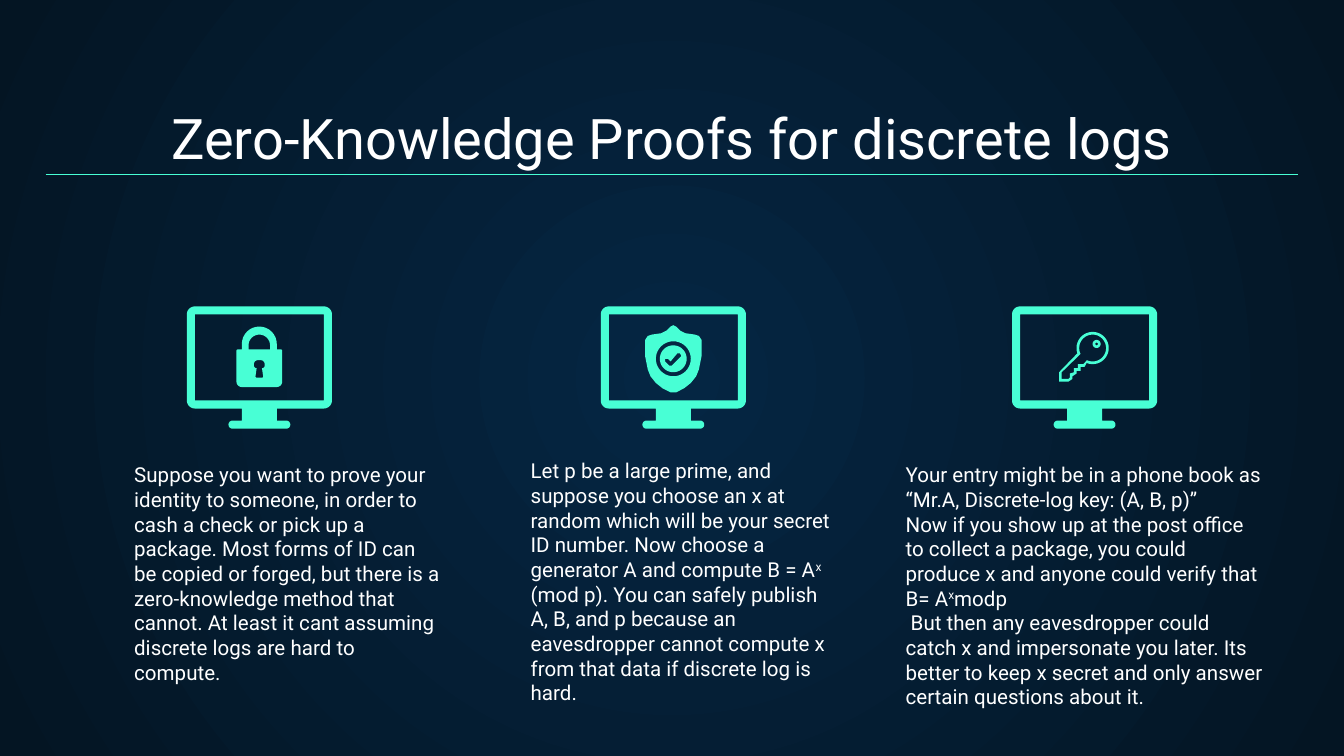
import math
from lxml import etree
from pptx import Presentation
from pptx.dml.color import RGBColor
from pptx.enum import shapes, text
from pptx.oxml import ns
from pptx.util import Inches, Pt

MINT, WHITE, NAVY, INK = "48FFD5", "FFFFFF", "052643", "041523"
FONT = "Roboto"
TITLE = "Zero-Knowledge Proofs for discrete logs"

# Columns: icon, monitor centre and top, text box, paragraphs (^x^ is raised)
COLUMNS = [
    ("lock", 1.93, 2.28, (0.9, 3.34, 2.49, 2.02), [
        "Suppose you want to prove your identity to someone, in order to cash a check or "
        "pick up a package. Most forms of ID can be copied or forged, but there is a "
        "zero-knowledge method that cannot. At least it cant assuming discrete logs are "
        "hard to compute."]),
    ("shield", 5.01, 2.28, (3.85, 3.31, 2.49, 2.02), [
        "Let p be a large prime, and suppose you choose an x at random which will be your "
        "secret ID number. Now choose a generator A and compute B = A^x^ (mod p). You can "
        "safely publish A, B, and p because an eavesdropper cannot compute x from that "
        "data if discrete log is hard."]),
    ("key", 8.07, 2.28, (6.64, 3.34, 2.87, 2.13), [
        "Your entry might be in a phone book as “Mr.A, Discrete-log key: (A, B, p)”",
        "Now if you show up at the post office to collect a package, you could produce x "
        "and anyone could verify that B= A^x^modp",
        " But then any eavesdropper could catch x and impersonate you later. Its better to "
        "keep x secret and only answer certain questions about it."]),
]


def color(value):
    return RGBColor.from_string(value)


# Outlines, in inches from the top centre of a monitor
def arc(x, y, radius, start=0, end=360, steps=40):
    angles = [math.radians(start + (end - start) * i / steps) for i in range(steps + 1)]
    return [(x + radius * math.cos(a), y + radius * math.sin(a)) for a in angles]


def rounded(corners, steps=8):
    """Polygon of (x, y, radius) corners, each rounded by a circular arc."""
    points = []
    for i, (x, y, radius) in enumerate(corners):
        if not radius:
            points.append((x, y))
            continue
        ends = []
        for nx, ny, _ in (corners[i - 1], corners[(i + 1) % len(corners)]):
            k = radius / math.hypot(nx - x, ny - y)
            ends.append((x + (nx - x) * k, y + (ny - y) * k))
        (ax, ay), (bx, by) = ends
        for j in range(steps + 1):
            t = j / steps
            a, c, b = (1 - t) ** 2, math.sqrt(2) * t * (1 - t), t * t
            points.append(((a * ax + c * x + b * bx) / (a + b + c),
                           (a * ay + c * y + b * by) / (a + b + c)))
    return points


def symmetric(right):
    """Rounded outline from its right half, listed top to bottom."""
    return rounded(right + [(-x, y, r) for x, y, r in reversed(right)])


MONITOR = [
    symmetric([(0.54, 0, 0.06), (0.54, 0.76, 0.06), (0.13, 0.76, 0), (0.13, 0.85, 0),
               (0.23, 0.85, 0.03), (0.23, 0.91, 0.03)]),
    symmetric([(0.48, 0.06, 0), (0.48, 0.7, 0)]),
]
SHIELD_HALF = [(0, 0.14), (0.02, 0.15), (0.05, 0.18), (0.09, 0.2), (0.16, 0.21), (0.19, 0.22),
               (0.21, 0.25), (0.21, 0.28), (0.21, 0.37), (0.19, 0.47), (0.17, 0.52),
               (0.13, 0.57), (0.08, 0.61), (0.02, 0.64)]
CHECK = [(0.03, 0.35), (0.05, 0.35), (0.06, 0.37), (-0.01, 0.44), (-0.03, 0.44),
         (-0.06, 0.41), (-0.06, 0.39), (-0.04, 0.39), (-0.02, 0.41)]
KEY_OUTER = [(-0.19, 0.49), (-0.19, 0.56), (-0.12, 0.56), (-0.09, 0.54), (-0.09, 0.52),
             (-0.06, 0.5), (-0.06, 0.48), (-0.03, 0.48), (-0.03, 0.45), (0, 0.45)]
KEY_INNER = [(-0.17, 0.49), (-0.17, 0.54), (-0.12, 0.54), (-0.11, 0.53), (-0.11, 0.5),
             (-0.08, 0.49), (-0.08, 0.46), (-0.05, 0.46), (-0.05, 0.43), (-0.01, 0.43)]

# Each icon is a list of shapes; each shape is an outline followed by its holes
ICONS = {
    "lock": [[
        symmetric([(0.13, 0.15, 0.13), (0.13, 0.32, 0), (0.17, 0.32, 0.01),
                   (0.17, 0.6, 0.04)]),
        symmetric([(0.08, 0.21, 0.08), (0.08, 0.32, 0)]),
        symmetric([(0.04, 0.4, 0.03), (0.04, 0.46, 0.02), (0.02, 0.46, 0),
                   (0.03, 0.53, 0.01)]),
    ]],
    "shield": [
        [arc(0, 0.39, 0.1), CHECK],
        [symmetric([(x, y, 0) for x, y in SHIELD_HALF]), arc(0, 0.39, 0.13)],
    ],
    "key": [
        [KEY_OUTER + arc(0.06, 0.31, 0.12, 112, -199),
         KEY_INNER + arc(0.06, 0.31, 0.1, 115, -206)],
        [arc(0.09, 0.28, 0.03), arc(0.09, 0.28, 0.01)],
    ],
}


def add_outline(slide, contours, cx, top):
    paths = [[(Inches(cx + x), Inches(top + y)) for x, y in c] for c in contours]
    builder = slide.shapes.build_freeform(*paths[0][0], scale=1.0)
    for i, path in enumerate(paths):
        if i:
            builder.move_to(*path[0])
        builder.add_line_segments(path[1:], close=True)
    sp = builder.convert_to_shape()
    sp.shadow.inherit = False
    sp.fill.solid()
    sp.fill.fore_color.rgb = color(MINT)
    sp.line.fill.background()


def add_text(slide, box, paragraphs, size, align, anchor):
    tf = slide.shapes.add_textbox(*map(Inches, box)).text_frame
    tf.word_wrap = True
    tf.vertical_anchor = anchor
    tf.margin_left = tf.margin_right = tf.margin_top = tf.margin_bottom = Inches(0.1)
    for i, content in enumerate(paragraphs):
        p = tf.add_paragraph() if i else tf.paragraphs[0]
        p.alignment = align
        for j, piece in enumerate(content.split("^")):
            r = p.add_run()
            r.text = piece
            r.font.name, r.font.size = FONT, Pt(size)
            r.font.color.rgb = color(WHITE)
            if j % 2:
                r.font._element.set("baseline", "30000")


prs = Presentation()
prs.slide_width = Inches(10)
prs.slide_height = prs.slide_width * 9 // 16
s = prs.slides.add_slide(prs.slide_layouts[6])

# Background: radial gradient from the centre
fill = s.background.fill
fill.gradient()
for stop, position, value in zip(fill.gradient_stops, (0, 1), (NAVY, INK)):
    stop.position = position
    stop.color.rgb = color(value)
grad = next(s.element.iter(ns.qn("a:gradFill")))
grad.remove(grad.find(ns.qn("a:lin")))
radial = etree.SubElement(grad, ns.qn("a:path"), path="circle")
etree.SubElement(radial, ns.qn("a:fillToRect"), l="50000", t="50000", r="50000", b="50000")

# Title and rule
add_text(s, (0.34, 0.71, 9.32, 0.66), [TITLE], 30, text.PP_ALIGN.CENTER, text.MSO_ANCHOR.BOTTOM)
rule = s.shapes.add_connector(shapes.MSO_CONNECTOR.STRAIGHT,
                              Inches(0.34), Inches(1.3), Inches(9.66), Inches(1.3))
rule.line.color.rgb = color(MINT)
rule.line.width = Pt(0.75)
etree.SubElement(rule._element.spPr, ns.qn("a:effectLst"))

# Columns
for icon, cx, top, box, paragraphs in COLUMNS:
    for contours in [MONITOR] + ICONS[icon]:
        add_outline(s, contours, cx, top)
    add_text(s, box, paragraphs, 11, text.PP_ALIGN.LEFT, text.MSO_ANCHOR.TOP)

prs.save("out.pptx")
